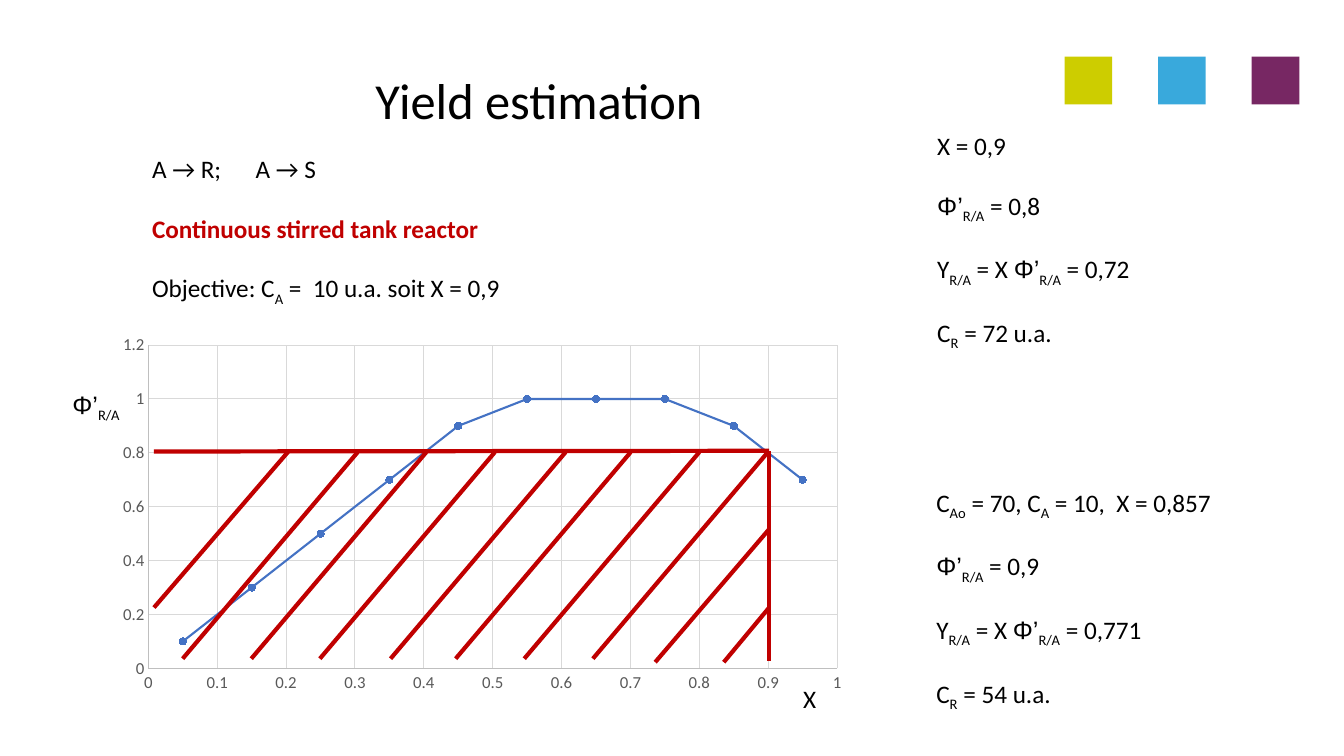
import pptx
import pptx.chart.data
import pptx.dml.color
import pptx.enum.chart
import pptx.enum.shapes
import pptx.enum.text
import pptx.oxml
import pptx.oxml.ns
import pptx.util
from lxml import etree

Pt = pptx.util.Pt
RGB = pptx.dml.color.RGBColor
BLACK = RGB(0x00, 0x00, 0x00)
RED = RGB(0xC0, 0x00, 0x00)
BLUE = RGB(0x44, 0x72, 0xC4)
GREY = RGB(0x59, 0x59, 0x59)
AXIS = RGB(0xBF, 0xBF, 0xBF)
GRID = RGB(0xD9, 0xD9, 0xD9)
LIME = RGB(0xCD, 0xCD, 0x00)
SKY = RGB(0x39, 0xA9, 0xDC)
PLUM = RGB(0x77, 0x27, 0x63)

# Content: "|" separates runs, a leading "_" marks a subscript
TITLE = "Yield estimation"
REACTOR = "Continuous stirred tank reactor"
PHI = "Φ’|_R/A"
PROBLEM = ["A → R;\tA → S", REACTOR, "Objective: C|_A| =  10 u.a. soit X = 0,9"]
CASE_100 = ["X = 0,9", PHI + "| = 0,8", "Y|_R/A| = X |" + PHI + "| = 0,72",
            "C|_R| = 72 u.a."]
CASE_70 = ["C|_Ao| = 70, C|_A| = 10,  X = 0,857", PHI + "| = 0,9",
           "Y|_R/A| = X |" + PHI + "| = 0,771", "C|_R| = 54 u.a."]
YIELDS = [0.1, 0.3, 0.5, 0.7, 0.9, 1, 1, 1, 0.9, 0.7]
CONVERSIONS = [(5 + 10 * i) / 100 for i in range(len(YIELDS))]

# Geometry in points: left, top, width, height
CHART_BOX = (77, 234, 534, 266.5)
PLOT_BOX = (106, 246.5, 492, 231)
TEXT_BOXES = [
    (PROBLEM, (101.5, 106, 267, 117)),
    ([PHI], (44.6, 274.5, 53, 51)),
    (["X"], (566.6, 484.5, 24, 29)),
    (CASE_100, (662.4, 89.5, 164, 160)),
    (CASE_70, (661.7, 344.3, 220, 160)),
]
SQUARES = [LIME, SKY, PLUM]

# Rectangle outline, then the hatching: x1, y1, x2, y2
TOP, BOTTOM, RIGHT, RUN = 322.5, 470.5, 549.4, 125
FULL_HATCH = [255.5, 304.5, 353.5, 404, 450.5, 499.5, 548.5]
RED_LINES = [(RIGHT, TOP, RIGHT, 472.5), (110, TOP, RIGHT, 322),
             (206, TOP, 110, 434)]
RED_LINES += [(x, TOP + 0.5, x - RUN, BOTTOM) for x in FULL_HATCH]
RED_LINES += [(RIGHT, 378, 468, 473), (RIGHT, 434, 517, 473)]

prs = pptx.Presentation()
prs.slide_width, prs.slide_height = Pt(960), Pt(540)
s = prs.slides.add_slide(prs.slide_layouts[6])


def add_text(lines, box, size=18, wrap=False):
    tf = s.shapes.add_textbox(*map(Pt, box)).text_frame
    tf.word_wrap = wrap
    for i, line in enumerate(lines):
        p = tf.paragraphs[0] if i == 0 else tf.add_paragraph()
        if i:
            p.space_before = Pt(21)
        if "\t" in line:
            tabs = etree.SubElement(p._p.get_or_add_pPr(), pptx.oxml.ns.qn("a:tabLst"))
            etree.SubElement(tabs, pptx.oxml.ns.qn("a:tab"), pos=str(Pt(74)), algn="l")
        p.font.size, p.font.name = Pt(size), "Calibri"
        p.font.bold = line == REACTOR
        p.font.color.rgb = RED if line == REACTOR else BLACK
        for piece in line.split("|"):
            r = p.add_run()
            r.text = piece.lstrip("_")
            if piece.startswith("_"):
                r.font._element.set("baseline", "-25000")
            if piece.startswith("Φ"):
                r.font.name = "Arial"
    return tf


# Title
tf = add_text([TITLE], (25, 44.6, 720, 52), size=36, wrap=True)
tf.vertical_anchor = pptx.enum.text.MSO_ANCHOR.BOTTOM
tf.paragraphs[0].alignment = pptx.enum.text.PP_ALIGN.CENTER
tf.paragraphs[0].line_spacing = 0.9

# Corner squares
for i, color in enumerate(SQUARES):
    sp = s.shapes.add_shape(pptx.enum.shapes.MSO_SHAPE.RECTANGLE,
                            Pt(760.5 + 66.8 * i), Pt(40.5), Pt(34), Pt(34))
    sp.shadow.inherit = False
    sp.fill.solid()
    sp.fill.fore_color.rgb = color
    sp.line.fill.background()

# Chart
data = pptx.chart.data.XyChartData()
series = data.add_series("Series 1")
for x, y in zip(CONVERSIONS, YIELDS):
    series.add_data_point(x, y)
chart = s.shapes.add_chart(pptx.enum.chart.XL_CHART_TYPE.XY_SCATTER_LINES,
                           *map(Pt, CHART_BOX), data).chart
chart.has_legend = chart.has_title = False
chart.font.size, chart.font.name = Pt(10), "Calibri"
chart.font.color.rgb = BLACK

plot = chart.plots[0]
plot.vary_by_categories = False
line = plot.series[0]
line.smooth = False
line.format.line.color.rgb = BLUE
line.format.line.width = Pt(1.5)
line.marker.style = pptx.enum.chart.XL_MARKER_STYLE.CIRCLE
line.marker.size = 5
line.marker.format.fill.solid()
line.marker.format.fill.fore_color.rgb = BLUE
line.marker.format.line.color.rgb = BLUE

for axis, top, step in ((chart.category_axis, 1, 0.1), (chart.value_axis, 1.2, 0.2)):
    axis.minimum_scale, axis.maximum_scale, axis.major_unit = 0, top, step
    axis.major_tick_mark = axis.minor_tick_mark = pptx.enum.chart.XL_TICK_MARK.NONE
    axis.has_major_gridlines = True
    axis.tick_labels.number_format = "General"
    axis.tick_labels.number_format_is_linked = False
    font = axis.tick_labels.font
    font.size, font.name, font.color.rgb = Pt(12), "Calibri", GREY
    for fmt, color in ((axis.format, AXIS), (axis.major_gridlines.format, GRID)):
        fmt.line.color.rgb = color
        fmt.line.width = Pt(0.75)

# Fixed inner plot area, as fractions of the chart box
cx, cy, cw, ch = CHART_BOX
px, py, pw, ph = PLOT_BOX
fractions = {"x": (px - cx) / cw, "y": (py - cy) / ch, "w": pw / cw, "h": ph / ch}
settings = {"layoutTarget": "inner", "xMode": "edge", "yMode": "edge", **fractions}
area = chart._chartSpace.chart.plotArea
for old in area.findall(pptx.oxml.ns.qn("c:layout")):
    area.remove(old)
layout = etree.Element(pptx.oxml.ns.qn("c:layout"))
manual = etree.SubElement(layout, pptx.oxml.ns.qn("c:manualLayout"))
for name, value in settings.items():
    etree.SubElement(manual, pptx.oxml.ns.qn("c:" + name), val=str(value))
area.insert(0, layout)

# Hatched rectangle
for ends in RED_LINES:
    c = s.shapes.add_connector(pptx.enum.shapes.MSO_CONNECTOR.STRAIGHT, *map(Pt, ends))
    c.line.color.rgb = RED
    c.line.width = Pt(3)
    etree.SubElement(c._element.spPr, pptx.oxml.ns.qn("a:effectLst"))

# Labels and results
for lines, box in TEXT_BOXES:
    add_text(lines, box)

prs.save("out.pptx")
